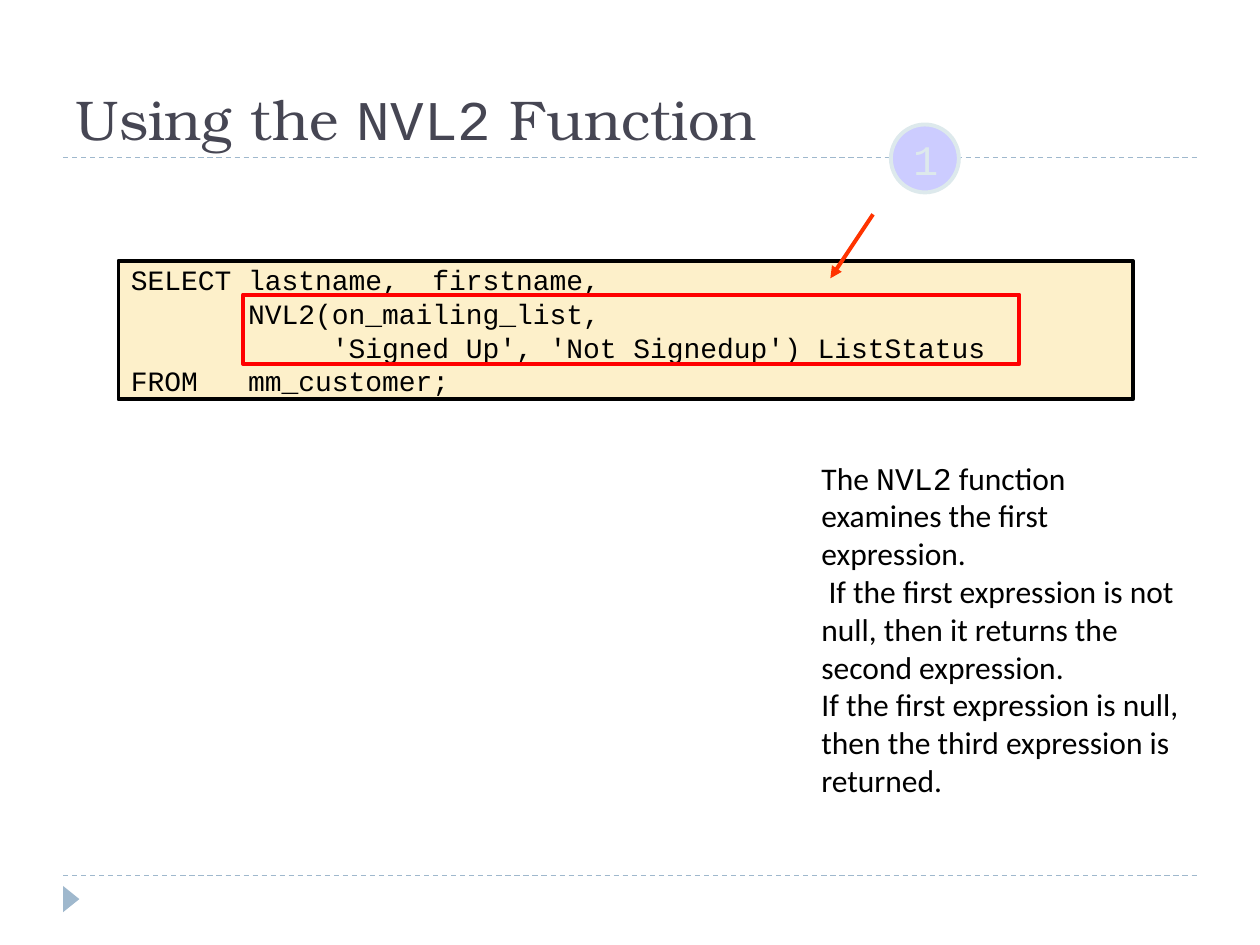
from dataclasses import dataclass
from typing import Optional

from lxml.etree import SubElement
from pptx import Presentation
from pptx.dml.color import RGBColor
from pptx.enum.dml import MSO_LINE as Dash
from pptx.enum.shapes import MSO_CONNECTOR as Conn, MSO_SHAPE as Kind
from pptx.enum.text import MSO_ANCHOR as Anchor, PP_ALIGN as Align
from pptx.oxml.ns import qn
from pptx.util import Cm, Pt

COLORS = {
    "rule": "9FB8CD",
    "code": "FDF0CA",
    "ink": "000000",
    "title": "464653",
    "frame": "FF0000",
    "arrow": "FF3300",
    "badge": "CCCCFF",
    "pale": "DDE9EC",
}
MONO, SERIF, SANS = "Courier New", "TeX Gyre Bonum", "Calibri"


@dataclass
class Box:
    kind: Kind
    left: float
    top: float
    width: float
    height: float
    fill: Optional[str] = None
    line: Optional[str] = None
    turn: float = 0


@dataclass
class Line:
    start: tuple[float, float]
    end: tuple[float, float]
    color: str
    weight: float
    dash: bool = False
    head: bool = False


@dataclass
class Style:
    size: float
    color: str
    align: Align = Align.LEFT
    anchor: Anchor = Anchor.TOP


Run = tuple[str, str]


def tint(name: str) -> RGBColor:
    return RGBColor.from_string(COLORS[name])


def draw_box(slide, box: Box):
    shape = slide.shapes.add_shape(
        box.kind, Cm(box.left), Cm(box.top), Cm(box.width), Cm(box.height))
    shape.shadow.inherit = False
    shape.rotation = box.turn
    if box.fill:
        shape.fill.solid()
        shape.fill.fore_color.rgb = tint(box.fill)
    else:
        shape.fill.background()
    if box.line:
        shape.line.color.rgb = tint(box.line)
        shape.line.width = Pt(2.25)
    else:
        shape.line.fill.background()
    return shape


def draw_line(slide, line: Line) -> None:
    link = slide.shapes.add_connector(
        Conn.STRAIGHT, *(Cm(v) for v in line.start + line.end))
    link.line.color.rgb = tint(line.color)
    link.line.width = Pt(line.weight)
    if line.dash:
        link.line.dash_style = Dash.DASH
    if line.head:
        SubElement(link.line._get_or_add_ln(), qn("a:tailEnd"), type="triangle")
    SubElement(link._element.spPr, qn("a:effectLst"))


def write(shape, paras: list[list[Run]], style: Style) -> None:
    frame = shape.text_frame
    frame.word_wrap = True
    frame.vertical_anchor = style.anchor
    for i, runs in enumerate(paras):
        para = frame.add_paragraph() if i else frame.paragraphs[0]
        para.alignment = style.align
        for text, font in runs:
            run = para.add_run()
            run.text = text
            run.font.name = font
            run.font.size = Pt(style.size)
            run.font.color.rgb = tint(style.color)


def add_text(slide, left: float, top: float, width: float, height: float,
             paras: list[list[Run]], style: Style) -> None:
    area = slide.shapes.add_textbox(Cm(left), Cm(top), Cm(width), Cm(height))
    write(area, paras, style)


CODE = [
    "SELECT lastname,  firstname,",
    "       NVL2(on_mailing_list,",
    "            'Signed Up', 'Not Signedup') ListStatus",
    "FROM   mm_customer;",
]
TITLE = [[("Using the ", SERIF), ("NVL2", MONO), (" Function", SERIF)]]
NOTES = [
    [("The ", SANS), ("NVL2", MONO),
     (" function examines the first expression.", SANS)],
    [(" If the first expression is not null, then it returns the second "
      "expression.", SANS)],
    [("If the first expression is null, then the third expression is "
      "returned.", SANS)],
]


def main() -> None:
    deck = Presentation()
    deck.slide_width, deck.slide_height = Cm(25.4), Cm(19.05)
    slide = deck.slides.add_slide(deck.slide_layouts[6])

    for y in (17.65, 3.18):
        draw_line(slide, Line((1.27, y), (24.13, y), "rule", 0.75, dash=True))
    draw_box(slide, Box(Kind.ISOSCELES_TRIANGLE, 1.17, 17.96, 0.53, 0.33,
                        fill="rule", turn=90))

    code = draw_box(slide, Box(Kind.RECTANGLE, 2.39, 5.26, 20.45, 2.79,
                               fill="code", line="ink"))
    write(code, [[(text, MONO)] for text in CODE],
          Style(16, "ink", anchor=Anchor.MIDDLE))

    add_text(slide, 1.27, 0.64, 22.86, 2.54, TITLE,
             Style(32, "title", anchor=Anchor.BOTTOM))

    draw_box(slide, Box(Kind.RECTANGLE, 4.9, 5.94, 15.65, 1.4, line="frame"))
    draw_line(slide, Line((17.6, 4.32), (16.74, 5.61), "arrow", 2.25, head=True))

    badge = draw_box(slide, Box(Kind.OVAL, 17.96, 2.51, 1.37, 1.37,
                                fill="badge", line="pale"))
    write(badge, [[("1", MONO)]],
          Style(24, "pale", Align.CENTER, Anchor.MIDDLE))

    add_text(slide, 16.31, 9.12, 7.85, 7.95, NOTES, Style(18, "ink"))
    deck.save("out.pptx")


if __name__ == "__main__":
    main()
